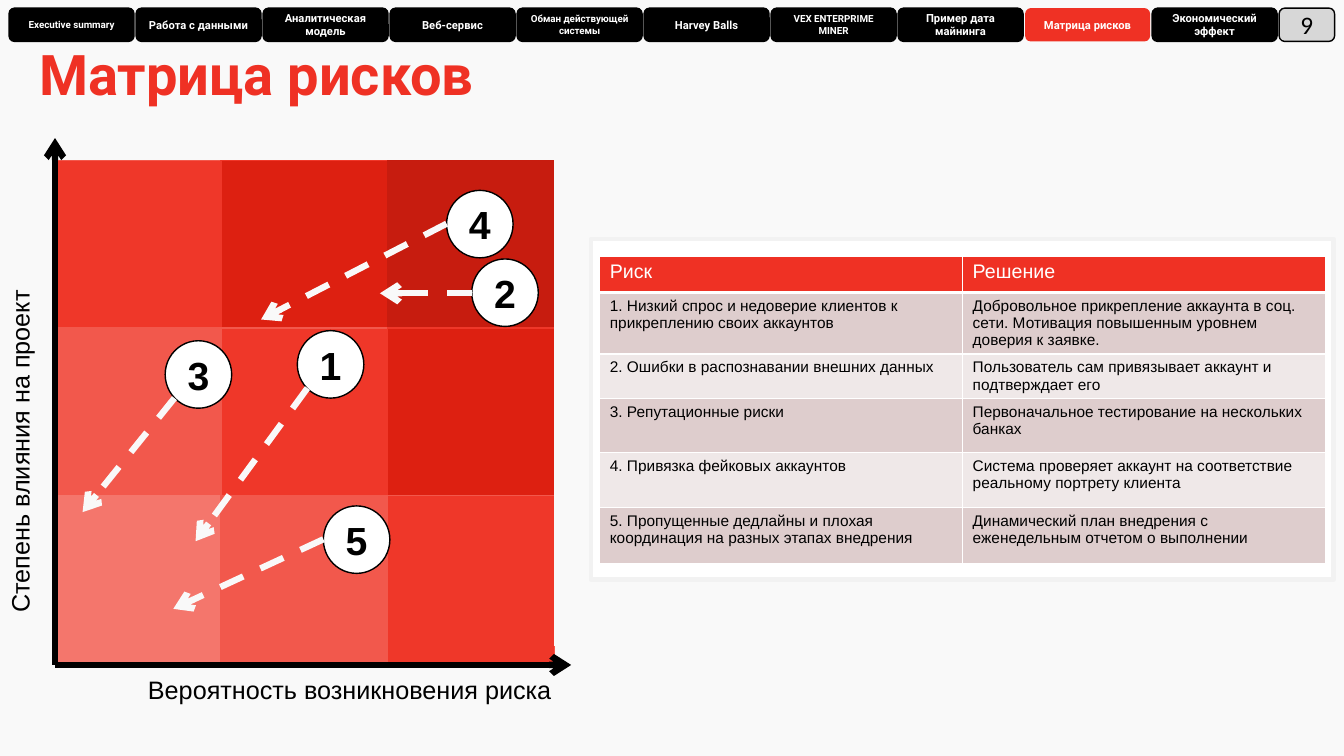
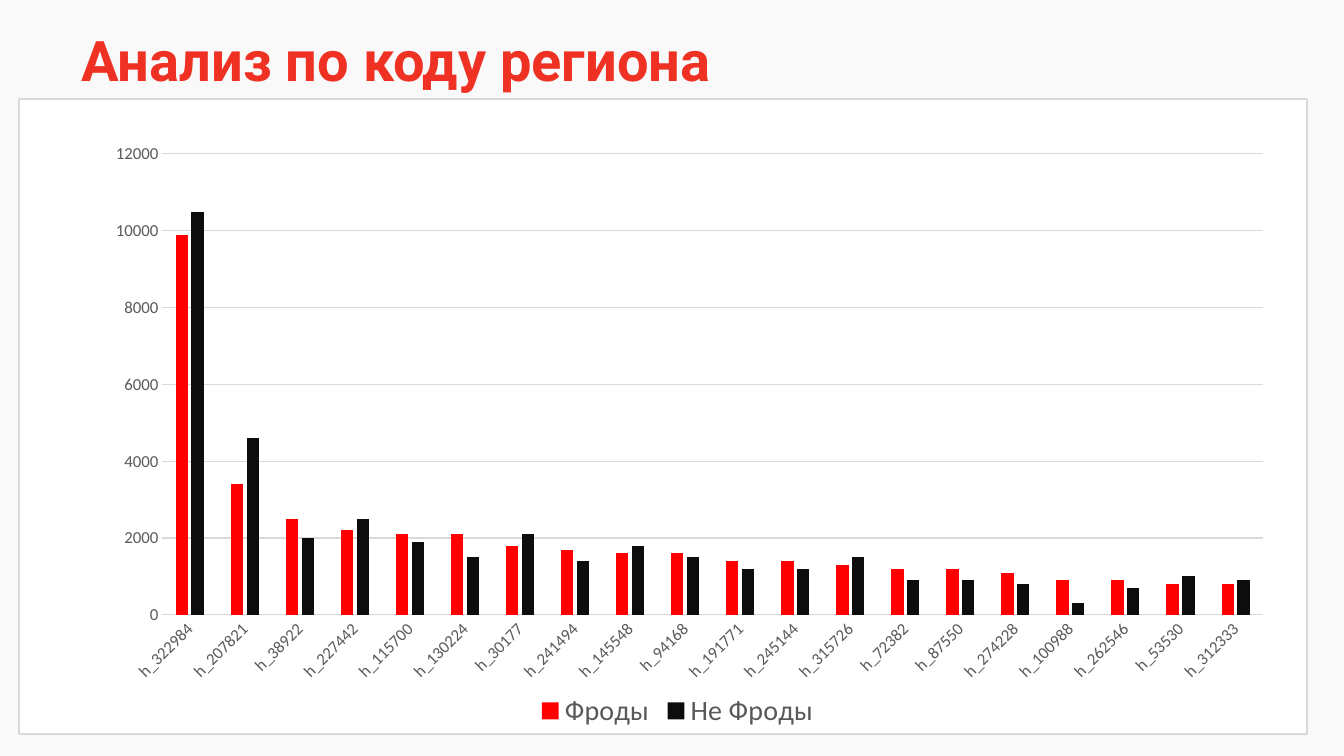
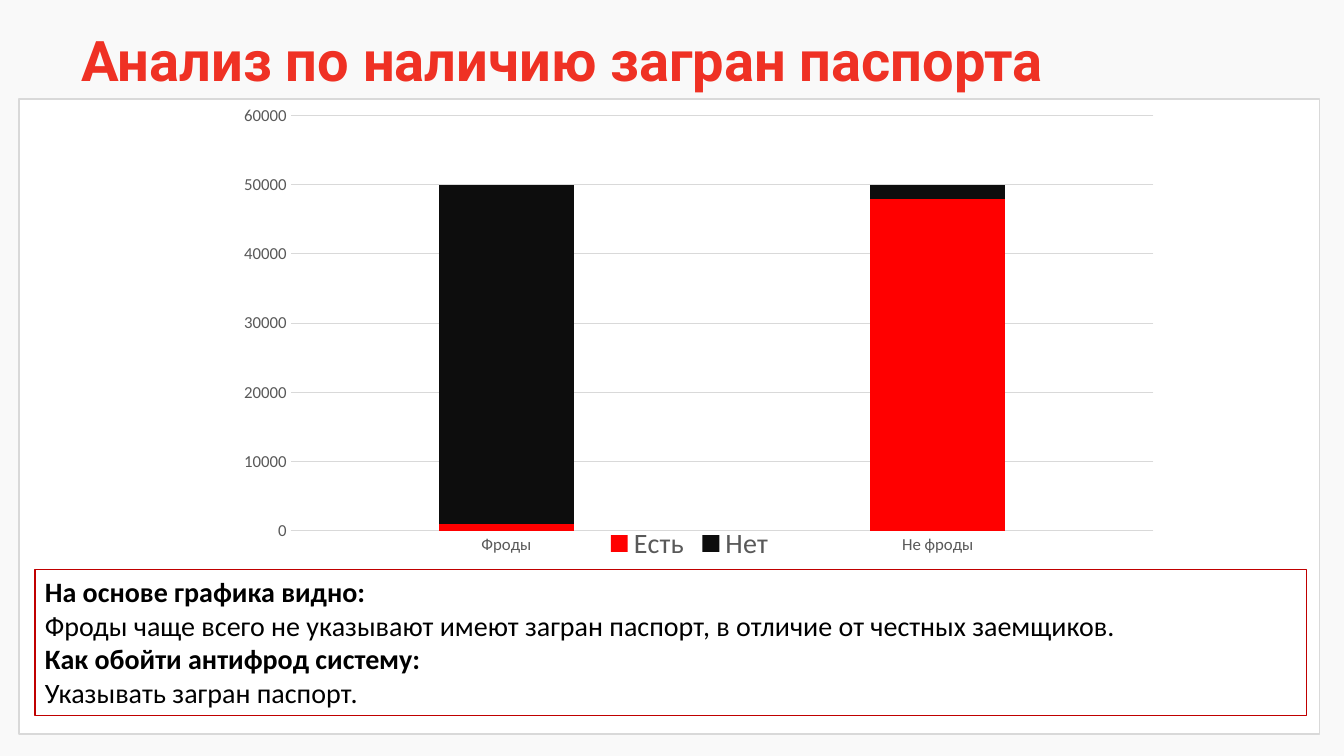
from lxml import etree
from pptx import Presentation
from pptx.chart.data import CategoryChartData
from pptx.dml.color import RGBColor
from pptx.enum.chart import XL_CHART_TYPE, XL_LEGEND_POSITION, XL_TICK_MARK
from pptx.enum.dml import MSO_LINE
from pptx.enum.shapes import MSO_CONNECTOR, MSO_SHAPE
from pptx.enum.text import MSO_ANCHOR, MSO_AUTO_SIZE, PP_ALIGN
from pptx.oxml.ns import qn
from pptx.util import Pt

RECTANGLE, ROUNDED, OVAL = MSO_SHAPE.RECTANGLE, MSO_SHAPE.ROUNDED_RECTANGLE, MSO_SHAPE.OVAL
CLUSTERED, STACKED = XL_CHART_TYPE.COLUMN_CLUSTERED, XL_CHART_TYPE.COLUMN_STACKED
STRAIGHT, DASH = MSO_CONNECTOR.STRAIGHT, MSO_LINE.DASH
NO_TICKS, BOTTOM = XL_TICK_MARK.NONE, XL_LEGEND_POSITION.BOTTOM
LEFT, TOP, NO_AUTOSIZE = PP_ALIGN.LEFT, MSO_ANCHOR.TOP, MSO_AUTO_SIZE.NONE

BLACK = RGBColor(0x00, 0x00, 0x00)
WHITE = RGBColor(0xFF, 0xFF, 0xFF)
PAPER = RGBColor(0xF9, 0xF9, 0xF9)
PALE_GREY = RGBColor(0xF2, 0xF2, 0xF2)
LIGHT_GREY = RGBColor(0xD9, 0xD9, 0xD9)
NUMBER_GREY = RGBColor(0xD7, 0xD7, 0xD7)
AXIS_GREY = RGBColor(0x59, 0x59, 0x59)
ACCENT = RGBColor(0xEF, 0x31, 0x24)
DARK_RED = RGBColor(0xC0, 0x00, 0x00)
BAND_DARK = RGBColor(0xDE, 0xCD, 0xCD)
BAND_LIGHT = RGBColor(0xEF, 0xE8, 0xE8)
SERIES_COLOURS = [RGBColor(0xFF, 0x00, 0x00), RGBColor(0x0D, 0x0D, 0x0D)]
# Risk levels from low to high: fill and outline
RISK_FILLS = [RGBColor(0xF4, 0x76, 0x6C), RGBColor(0xF2, 0x58, 0x4C),
              RGBColor(0xEF, 0x37, 0x29), RGBColor(0xDD, 0x20, 0x11),
              RGBColor(0xC7, 0x1C, 0x0F)]
RISK_LINES = [RISK_FILLS[level] for level in (0, 1, 1, 2, 4)]


def add_box(shapes, kind, left, top, width, height, fill, line, line_width=1):
    box = shapes.add_shape(kind, Pt(left), Pt(top), Pt(width), Pt(height))
    box.shadow.inherit = False
    box.fill.solid()
    box.fill.fore_color.rgb = fill
    if line is None:
        box.line.fill.background()
    else:
        box.line.color.rgb = line
        box.line.width = Pt(line_width)
    return box


def add_span(para, text, size, font, colour, bold=False):
    span = para.add_run()
    span.text = text
    span.font.size = Pt(size)
    span.font.name = font
    span.font.color.rgb = colour
    span.font.bold = bold


# Deck, shared background and titles
deck = Presentation()
deck.slide_width, deck.slide_height = Pt(960), Pt(540)
deck.slide_master.background.fill.solid()
deck.slide_master.background.fill.fore_color.rgb = PAPER

pages = []
for text, left, top in [("Матрица рисков", 21, 24.5),
                        ("Анализ по коду региона", 51, 14.5),
                        ("Анализ по наличию загран паспорта", 51, 14.5)]:
    page = deck.slides.add_slide(deck.slide_layouts[5])
    title = page.shapes.title
    title.left, title.top, title.width, title.height = Pt(left), Pt(top), Pt(883), Pt(55.5)
    title.text_frame.auto_size = NO_AUTOSIZE
    title.text_frame.vertical_anchor = TOP
    para = title.text_frame.paragraphs[0]
    para.alignment = LEFT
    add_span(para, text, 40, "Roboto", ACCENT, True)
    pages.append(page)
risk_page, region_page, passport_page = pages

# Risk table on its card
add_box(risk_page.shapes, RECTANGLE, 422, 170.6, 530.6, 243.4, WHITE, PALE_GREY, 3)
risks = [
    ("Риск", "Решение"),
    ("1. Низкий спрос и недоверие клиентов к прикреплению своих аккаунтов",
     "Добровольное прикрепление аккаунта в соц. сети. Мотивация повышенным уровнем доверия к заявке."),
    ("2. Ошибки в распознавании внешних данных",
     "Пользователь сам привязывает аккаунт и подтверждает его"),
    ("3. Репутационные риски", "Первоначальное тестирование на нескольких банках"),
    ("4. Привязка фейковых аккаунтов",
     "Система проверяет аккаунт на соответствие реальному портрету клиента"),
    ("5. Пропущенные дедлайны и плохая координация на разных этапах внедрения",
     "Динамический план внедрения с еженедельным отчетом о выполнении"),
]
row_heights = [26, 40.3, 31, 38.9, 38.9, 40.3]
table = risk_page.shapes.add_table(len(risks), 2, Pt(428.4), Pt(182.9),
                                   Pt(518.4), Pt(sum(row_heights))).table
for column in table.columns:
    column.width = Pt(259.2)
for row, texts in enumerate(risks):
    table.rows[row].height = Pt(row_heights[row])
    header = row == 0
    for column, text in enumerate(texts):
        cell = table.cell(row, column)
        properties = cell._tc.get_or_add_tcPr()
        for side in ("lnL", "lnR", "lnT", "lnB"):
            width = Pt(3) if header and side == "lnB" else Pt(1)
            border = etree.SubElement(properties, qn(f"a:{side}"), w=str(width))
            solid = etree.SubElement(border, qn("a:solidFill"))
            etree.SubElement(solid, qn("a:srgbClr"), val=str(WHITE))
        cell.fill.solid()
        cell.fill.fore_color.rgb = ACCENT if header else BAND_DARK if row % 2 else BAND_LIGHT
        add_span(cell.text_frame.paragraphs[0], text, 14 if header else 11, "Arial",
                 WHITE if header else BLACK)

# Risk matrix: the level grows to the right and upwards
matrix = risk_page.shapes.add_group_shape()
cell_width, cell_height = 119, 119.8
for row in range(3):
    for column in range(3):
        level = 2 - row + column
        add_box(matrix.shapes, RECTANGLE, 39 + column * cell_width, 114.5 + row * cell_height,
                cell_width, cell_height, RISK_FILLS[level], RISK_LINES[level])

# Axis labels
for text, left, top, width, turn in [
        ("Вероятность возникновения риска", 98.6, 478, 306, 0),
        ("Степень влияния на проект", -109.4, 306.7, 247, 270)]:
    label = risk_page.shapes.add_textbox(Pt(left), Pt(top), Pt(width), Pt(29))
    label.rotation = turn
    label.text_frame.word_wrap = False
    add_span(label.text_frame.paragraphs[0], text, 18, "Arial", BLACK)

# Numbered risks
for number, left, top in [(1, 212.4, 236.2), (2, 337, 185), (3, 118, 243.4),
                          (4, 319, 136), (5, 231, 361.4)]:
    marker = add_box(risk_page.shapes, OVAL, left, top, 47.5, 48.2, WHITE, BLACK)
    marker.text_frame.margin_left = marker.text_frame.margin_right = 0
    add_span(marker.text_frame.paragraphs[0], str(number), 28, "Arial", BLACK, True)

# Axes, risk movements and the light right edge
for x1, y1, x2, y2, colour, dashed, arrow in [
        (39.3, 475, 408, 475, BLACK, False, True),
        (39.3, 475, 39.3, 98.6, BLACK, False, True),
        (219.6, 277.2, 139.7, 386.6, PAPER, True, True),
        (337, 209.5, 271.4, 209.5, PAPER, True, True),
        (124.6, 284.4, 59, 365.8, PAPER, True, True),
        (319, 159.8, 186.5, 228.2, PAPER, True, True),
        (231, 385.2, 123.8, 434.9, PAPER, True, True),
        (398.2, 108.7, 398.2, 461.5, PAPER, False, False)]:
    connector = risk_page.shapes.add_connector(STRAIGHT, Pt(x1), Pt(y1), Pt(x2), Pt(y2))
    connector.line.color.rgb = colour
    connector.line.width = Pt(4.5)
    if dashed:
        connector.line.dash_style = DASH
    properties = connector._element.spPr
    if arrow:
        etree.SubElement(properties.find(qn("a:ln")), qn("a:tailEnd"), type="arrow")
    etree.SubElement(properties, qn("a:effectLst"))

# Navigation tabs and page number
tabs = [("Executive summary", 7), ("Работа с данными", 8), ("Аналитическая модель", 8),
        ("Веб-сервис", 8), ("Обман действующей системы", 7), ("Harvey Balls", 8),
        ("VEX ENTERPRIME MINER", 7), ("Пример дата майнинга", 8), ("Матрица рисков", 8),
        ("Экономический эффект", 8)]
tab_pitch = 90.72
for index, (text, size) in enumerate(tabs):
    current = text == "Матрица рисков"
    tab = add_box(risk_page.shapes, ROUNDED, 6.5 + index * tab_pitch, 5.8, 89.3, 23.8,
                  ACCENT if current else BLACK, None if current else BLACK)
    add_span(tab.text_frame.paragraphs[0], text, size, "Roboto", WHITE, True)
page_number = add_box(risk_page.shapes, ROUNDED, 6.5 + len(tabs) * tab_pitch, 5.8, 39.6, 23.8,
                      NUMBER_GREY, BLACK)
add_span(page_number.text_frame.paragraphs[0], "9", 18, "Calibri", BLACK)

# Column charts on their cards
regions = ["h_322984", "h_207821", "h_38922", "h_227442", "h_115700", "h_130224", "h_30177",
           "h_241494", "h_145548", "h_94168", "h_191771", "h_245144", "h_315726", "h_72382",
           "h_87550", "h_274228", "h_100988", "h_262546", "h_53530", "h_312333"]
region_series = {
    "Фроды": [9900, 3400, 2500, 2200, 2100, 2100, 1800, 1700, 1600, 1600,
              1400, 1400, 1300, 1200, 1200, 1100, 900, 900, 800, 800],
    "Не Фроды": [10500, 4600, 2000, 2500, 1900, 1500, 2100, 1400, 1800, 1500,
                 1200, 1200, 1500, 900, 900, 800, 300, 700, 1000, 900],
}
passport_series = {"Есть": [1000, 48000], "Нет": [49000, 2000]}

for page, card_width, kind, place, categories, series_values, overlap, step, turn, plot_area in [
        (region_page, 920, CLUSTERED, (51, 97.2, 866, 427), regions, region_series,
         -27, 2000, -45, (0.075, 0.03, 0.908, 0.771)),
        (passport_page, 929, STACKED, (161.3, 70.6, 663, 334), ["Фроды", "Не фроды"],
         passport_series, 100, 10000, 0, (0.07, 0.036, 0.93, 0.888))]:
    add_box(page.shapes, RECTANGLE, 13.7, 70.6, card_width, 453.6, WHITE, LIGHT_GREY)
    chart_data = CategoryChartData()
    chart_data.categories = categories
    for name, values in series_values.items():
        chart_data.add_series(name, values)
    chart = page.shapes.add_chart(kind, *[Pt(length) for length in place], chart_data).chart
    chart.has_title = False
    chart.font.size, chart.font.name = Pt(10), "Calibri"
    chart.font.color.rgb = BLACK

    plot = chart.plots[0]
    plot.gap_width, plot.overlap, plot.vary_by_categories = 219, overlap, False
    for series, colour in zip(plot.series, SERIES_COLOURS):
        series.format.fill.solid()
        series.format.fill.fore_color.rgb = colour

    chart.has_legend = True
    chart.legend.position = BOTTOM
    chart.legend.include_in_layout = False
    fonts = [(chart.legend.font, 20)]
    for axis in (chart.category_axis, chart.value_axis):
        axis.major_tick_mark = axis.minor_tick_mark = NO_TICKS
        fonts.append((axis.tick_labels.font, 12))
    for font, size in fonts:
        font.size, font.name = Pt(size), "Calibri"
        font.color.rgb = AXIS_GREY

    chart.value_axis.minimum_scale, chart.value_axis.maximum_scale = 0, 6 * step
    chart.value_axis.major_unit = step
    chart.value_axis.format.line.fill.background()
    for line in (chart.category_axis.format.line, chart.value_axis.major_gridlines.format.line):
        line.color.rgb = LIGHT_GREY
        line.width = Pt(0.75)
    label_body = chart.category_axis._element.find(qn("c:txPr")).find(qn("a:bodyPr"))
    label_body.set("rot", str(turn * 60000))
    label_body.set("vert", "horz")

    # Fixed inner plot area
    plot_element = chart._chartSpace.find(".//" + qn("c:plotArea"))
    for layout in plot_element.findall(qn("c:layout")):
        plot_element.remove(layout)
    layout = etree.Element(qn("c:layout"))
    plot_element.insert(0, layout)
    manual = etree.SubElement(layout, qn("c:manualLayout"))
    settings = [("layoutTarget", "inner"), ("xMode", "edge"), ("yMode", "edge")]
    for tag, value in settings + list(zip("xywh", plot_area)):
        etree.SubElement(manual, qn(f"c:{tag}"), val=str(value))

# Conclusions about passports
note = passport_page.shapes.add_textbox(Pt(25), Pt(406.8), Pt(908.6), Pt(104.4))
note.line.color.rgb = DARK_RED
note.line.width = Pt(0.75)
frame = note.text_frame
frame.word_wrap = True
para = frame.paragraphs[0]
add_span(para, "На основе графика видно:", 20, "Calibri", BLACK, True)
para.add_line_break()
add_span(para, "Фроды чаще всего не указывают имеют загран паспорт, в отличие от честных заемщиков.",
         20, "Calibri", BLACK)
for text, bold in [("Как обойти антифрод систему:", True), ("Указывать загран паспорт.", False)]:
    add_span(frame.add_paragraph(), text, 20, "Calibri", BLACK, bold)

deck.save("out.pptx")
